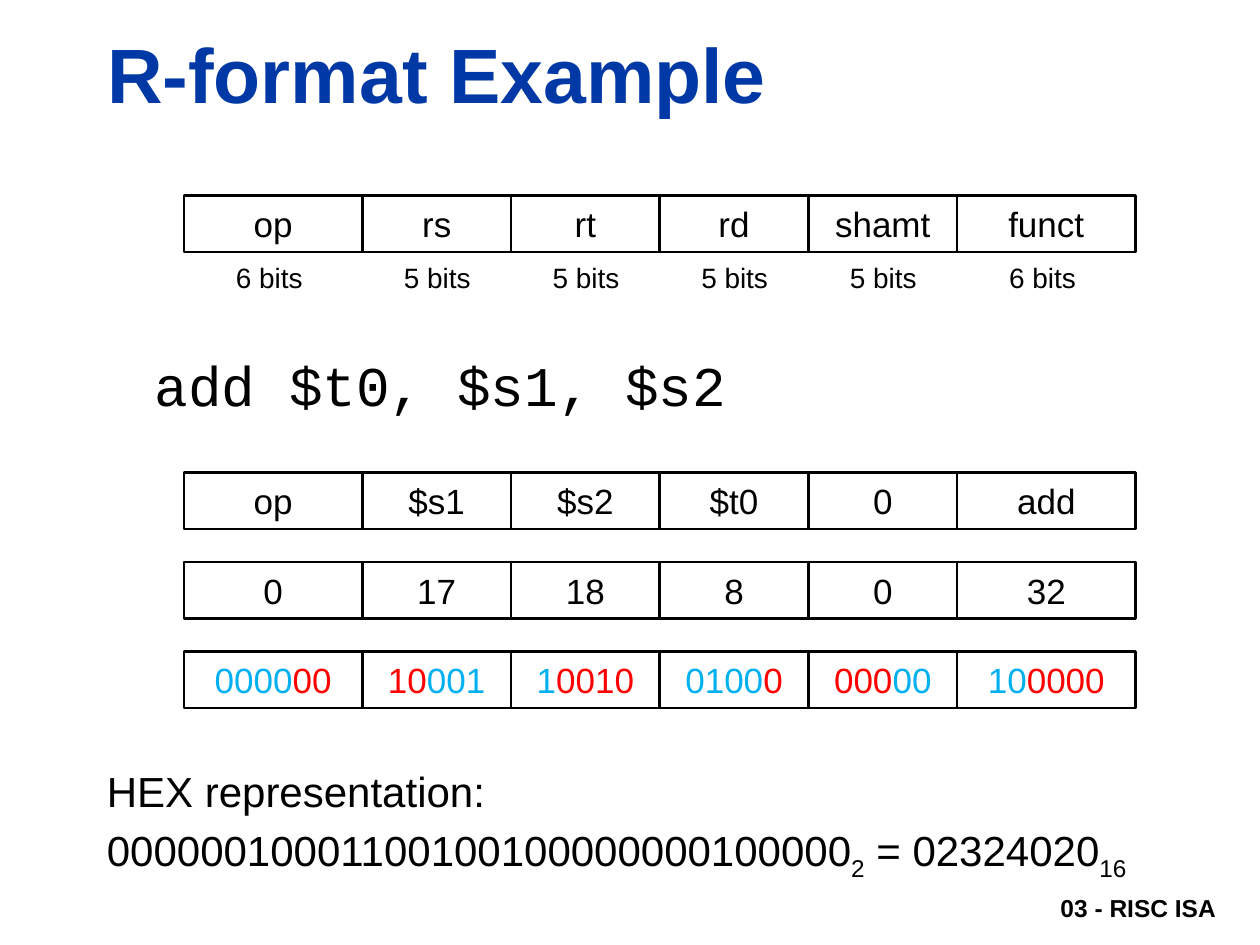
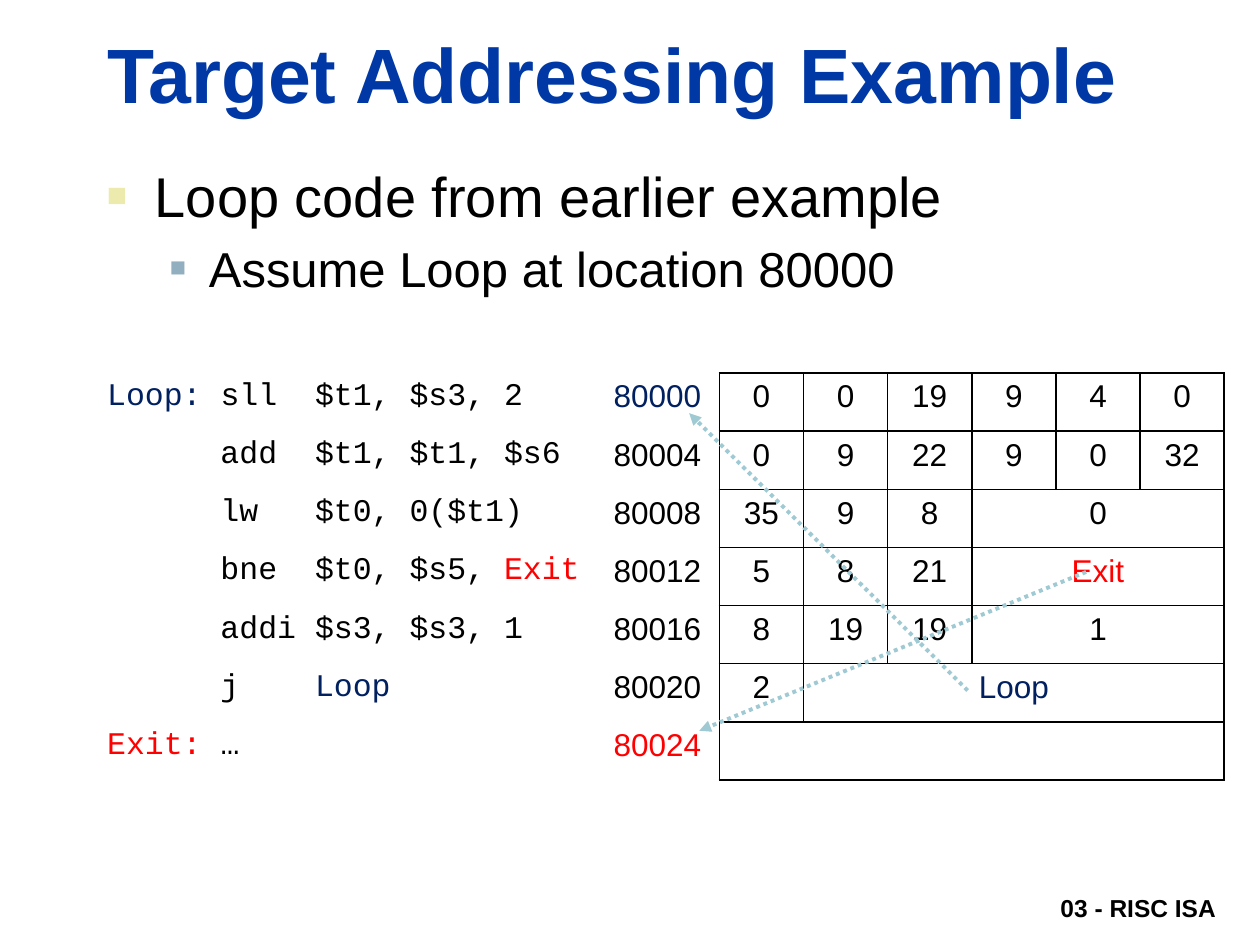
from dataclasses import dataclass
from itertools import accumulate, groupby
from typing import NamedTuple

from lxml import etree
from pptx import Presentation
from pptx import util as u
from pptx.dml.color import RGBColor
from pptx.enum import dml, shapes, text
from pptx.oxml.ns import qn

BLACK, WHITE, TITLE_BLUE = "000000", "FFFFFF", "0039A6"
NAVY, RED, SKY, ARROW = "002060", "FF0000", "00B0F0", "9FCAD3"
SANS, MONO = "Arial", "Courier New"
LEFT, CENTER, RIGHT = text.PP_ALIGN.LEFT, text.PP_ALIGN.CENTER, text.PP_ALIGN.RIGHT
TOP, MIDDLE, BOTTOM = (text.MSO_ANCHOR.TOP, text.MSO_ANCHOR.MIDDLE,
                       text.MSO_ANCHOR.BOTTOM)
SLIDE_W, SLIDE_H = u.Inches(10), u.Inches(7.5)


class Box(NamedTuple):
    """A frame in percent of the slide's width and height."""
    left: float
    top: float
    width: float
    height: float


class Run(NamedTuple):
    text: str
    color: str = BLACK
    baseline: int = 0


class Bullet(NamedTuple):
    color: str
    percent: int


@dataclass
class Para:
    runs: list[Run]
    size: float
    font: str = SANS
    bold: bool = False
    align: text.PP_ALIGN = LEFT
    before: float = 0
    margin: float = 0
    hanging: float = 0
    bullet: Bullet | None = None


@dataclass
class Instruction:
    code: list[Run]
    address: Run
    values: list[Run]


TITLE = Box(7.5, 2.13, 90.3, 11.07)
FOOTER = Box(18, 93.07, 79.5, 5.2)

FIELD_BITS = (6, 5, 5, 5, 5, 6)
FIELD_LEFT, BIT_WIDTH, FIELD_HEIGHT = 14.6, 2.36, 6
FIELD_EDGES = [FIELD_LEFT + BIT_WIDTH * n for n in accumulate(FIELD_BITS, initial=0)]
FORMAT_TOP, ENCODING_TOP, ENCODING_STEP = 20.67, 50, 9.47
VALUES = (0, 17, 18, 8, 0, 32)

LISTING = Box(7.5, 39.47, 89.7, 43.07)
CODE_WIDTH, ADDRESS_WIDTH, VALUE_WIDTH = 40.2, 9.4, 6.68
VALUE_COLUMNS = 6


def plain(*words: str) -> list[Run]:
    return [Run(word) for word in words]


INSTRUCTIONS = [
    Instruction([Run("Loop: ", NAVY), Run("sll  $t1, $s3, 2")], Run("80000", NAVY),
                plain("0", "0", "19", "9", "4", "0")),
    Instruction(plain("      add  $t1, $t1, $s6"), Run("80004"),
                plain("0", "9", "22", "9", "0", "32")),
    Instruction(plain("      lw   $t0, 0($t1)"), Run("80008"),
                plain("35", "9", "8", "0")),
    Instruction([Run("      bne  $t0, $s5, "), Run("Exit", RED)], Run("80012"),
                plain("5", "8", "21") + [Run("Exit", RED)]),
    Instruction(plain("      addi $s3, $s3, 1"), Run("80016"),
                plain("8", "19", "19", "1")),
    Instruction([Run("      j    "), Run("Loop", NAVY)], Run("80020"),
                [Run("2"), Run("Loop", NAVY)]),
    Instruction([Run("Exit: ", RED), Run("…")], Run("80024", RED), plain("")),
]
JUMPS = [((76.8, 73.07), (54.7, 43.73)), ((86.2, 60.53), (55.5, 77.33))]


def rgb(color: str) -> RGBColor:
    return RGBColor.from_string(color)


def across(percent: float) -> u.Emu:
    return u.Emu(round(SLIDE_W * percent / 100))


def down(percent: float) -> u.Emu:
    return u.Emu(round(SLIDE_H * percent / 100))


def frame(box: Box) -> tuple:
    return across(box.left), down(box.top), across(box.width), down(box.height)


def add_child(parent, tag: str, **attributes: str):
    return etree.SubElement(parent, qn(tag), attributes)


def write(tf, paras: list[Para]) -> None:
    for i, para in enumerate(paras):
        p = tf.add_paragraph() if i else tf.paragraphs[0]
        pPr = p._p.get_or_add_pPr()
        if para.margin:
            pPr.set("marL", str(u.Inches(para.margin)))
            pPr.set("indent", str(-u.Inches(para.hanging)))
        if para.bullet:
            color = add_child(pPr, "a:buClr")
            add_child(color, "a:srgbClr", val=para.bullet.color)
            add_child(pPr, "a:buSzPct", val=str(para.bullet.percent * 1000))
            add_child(pPr, "a:buFont", typeface=SANS)
            add_child(pPr, "a:buChar", char="■")
        p.alignment = para.align
        if para.before:
            p.space_before = u.Pt(para.before)
        for run in para.runs:
            if not run.text:
                continue
            r = p.add_run()
            r.text = run.text
            r.font.name, r.font.size, r.font.bold = para.font, u.Pt(para.size), para.bold
            r.font.color.rgb = rgb(run.color)
            if run.baseline:
                r._r.get_or_add_rPr().set("baseline", str(run.baseline * 1000))


def add_text(s, box: Box, paras: list[Para], anchor=TOP, wrap: bool = True) -> None:
    tf = s.shapes.add_textbox(*frame(box)).text_frame
    tf.word_wrap, tf.vertical_anchor = wrap, anchor
    write(tf, paras)


def add_slide(prs, title: str):
    """Add a slide with its title and the course footer."""
    s = prs.slides.add_slide(prs.slide_layouts[5])
    sp = s.shapes.title
    sp.left, sp.top, sp.width, sp.height = frame(TITLE)
    tf = sp.text_frame
    tf.auto_size, tf.word_wrap = text.MSO_AUTO_SIZE.NONE, True
    tf.vertical_anchor = BOTTOM
    write(tf, [Para([Run(title, TITLE_BLUE)], 44, bold=True)])
    add_text(s, FOOTER, [Para(plain("03 - RISC ISA"), 14, bold=True, align=RIGHT)], BOTTOM)
    return s


def add_fields(s, top: float, fields: list[list[Run]]) -> None:
    """Draw one instruction word, each field as wide as its bits."""
    for left, bits, runs in zip(FIELD_EDGES, FIELD_BITS, fields):
        box = Box(left, top, bits * BIT_WIDTH, FIELD_HEIGHT)
        sp = s.shapes.add_shape(shapes.MSO_SHAPE.RECTANGLE, *frame(box))
        sp.shadow.inherit = False
        sp.fill.background()
        sp.line.color.rgb, sp.line.width = rgb(BLACK), u.Pt(1.5)
        sp.text_frame.vertical_anchor = MIDDLE
        write(sp.text_frame, [Para(runs, 20, align=CENTER)])


def add_bit_labels(s) -> None:
    width = 7.3
    for left, bits in zip(FIELD_EDGES, FIELD_BITS):
        nudge = -0.3 if bits == 6 else 0.05
        box = Box(left + (bits * BIT_WIDTH - width) / 2 + nudge, 26.93, width, 4.93)
        add_text(s, box, [Para(plain(f"{bits} bits"), 16, align=CENTER)], wrap=False)


def nibble_fields() -> list[list[Run]]:
    """Binary fields, coloured alternately by hexadecimal digit of the word."""
    fields, position = [], 0
    for value, bits in zip(VALUES, FIELD_BITS):
        digits = enumerate(f"{value:0{bits}b}", position)
        fields.append([Run("".join(d for _, d in group), RED if nibble % 2 else SKY)
                       for nibble, group in groupby(digits, lambda pair: pair[0] // 4)])
        position += bits
    return fields


def set_borders(cell, colors: dict[str, str]) -> None:
    tcPr = cell._tc.get_or_add_tcPr()
    for side in "LRTB":
        ln = add_child(tcPr, f"a:ln{side}", w=str(u.Pt(1)))
        fill = add_child(ln, "a:solidFill")
        add_child(fill, "a:srgbClr", val=colors[side])


def add_listing(s) -> None:
    widths = [CODE_WIDTH, ADDRESS_WIDTH] + [VALUE_WIDTH] * VALUE_COLUMNS
    table = s.shapes.add_table(len(INSTRUCTIONS), len(widths), *frame(LISTING)).table
    table.first_row = table.horz_banding = False
    for column, width in zip(table.columns, widths):
        column.width = across(width)
    black, white = dict.fromkeys("LRTB", BLACK), dict.fromkeys("LRTB", WHITE)
    borders = [white, white | {"R": BLACK}] + [black] * VALUE_COLUMNS
    for row, line in enumerate(INSTRUCTIONS):
        for column, colors in enumerate(borders):
            set_borders(table.cell(row, column), colors)
            table.cell(row, column).fill.background()
        paras = [Para(line.code, 18, MONO), Para([line.address], 18)]
        paras += [Para([value], 18, align=CENTER) for value in line.values]
        for column, para in enumerate(paras):
            write(table.cell(row, column).text_frame, [para])
        last = len(paras) - 1
        if last < len(widths) - 1:
            table.cell(row, last).merge(table.cell(row, len(widths) - 1))


def add_jump(s, start: tuple, end: tuple) -> None:
    line = s.shapes.add_connector(shapes.MSO_CONNECTOR.STRAIGHT,
                                  across(start[0]), down(start[1]),
                                  across(end[0]), down(end[1]))
    line.line.color.rgb, line.line.width = rgb(ARROW), u.Pt(2.25)
    line.line.dash_style = dml.MSO_LINE.ROUND_DOT
    add_child(line.line._get_or_add_ln(), "a:tailEnd", type="triangle")
    add_child(line._element.spPr, "a:effectLst")


def r_format_slide(prs) -> None:
    s = add_slide(prs, "R-format Example")
    names = ("op", "rs", "rt", "rd", "shamt", "funct")
    add_fields(s, FORMAT_TOP, [plain(name) for name in names])
    add_bit_labels(s)
    add_text(s, Box(7.5, 36.4, 90.5, 9.47),
             [Para(plain("add $t0, $s1, $s2"), 32, MONO, margin=0.38)])
    symbols = ("op", "$s1", "$s2", "$t0", "0", "add")
    encodings = [[plain(symbol) for symbol in symbols],
                 [plain(str(value)) for value in VALUES],
                 nibble_fields()]
    for i, fields in enumerate(encodings):
        add_fields(s, ENCODING_TOP + i * ENCODING_STEP, fields)
    word = [Run("00000010001100100100000000100000"), Run("2", baseline=-25),
            Run(" = 02324020"), Run("16", baseline=-25)]
    add_text(s, Box(7.5, 80.4, 89, 7.33),
             [Para(plain("HEX representation:"), 24), Para(word, 24, before=4.8)])


def target_addressing_slide(prs) -> None:
    s = add_slide(prs, "Target Addressing Example")
    add_text(s, Box(7.5, 16.4, 90.5, 17.87), [
        Para(plain("Loop code from earlier example"), 32,
             margin=0.38, hanging=0.38, bullet=Bullet("ECEAAC", 60)),
        Para(plain("Assume Loop at location 80000"), 28, before=5.6,
             margin=0.81, hanging=0.31, bullet=Bullet("91AFBF", 55)),
    ])
    add_listing(s)
    for start, end in JUMPS:
        add_jump(s, start, end)


def main() -> None:
    prs = Presentation()
    prs.slide_width, prs.slide_height = SLIDE_W, SLIDE_H
    r_format_slide(prs)
    target_addressing_slide(prs)
    prs.save("out.pptx")


if __name__ == "__main__":
    main()
